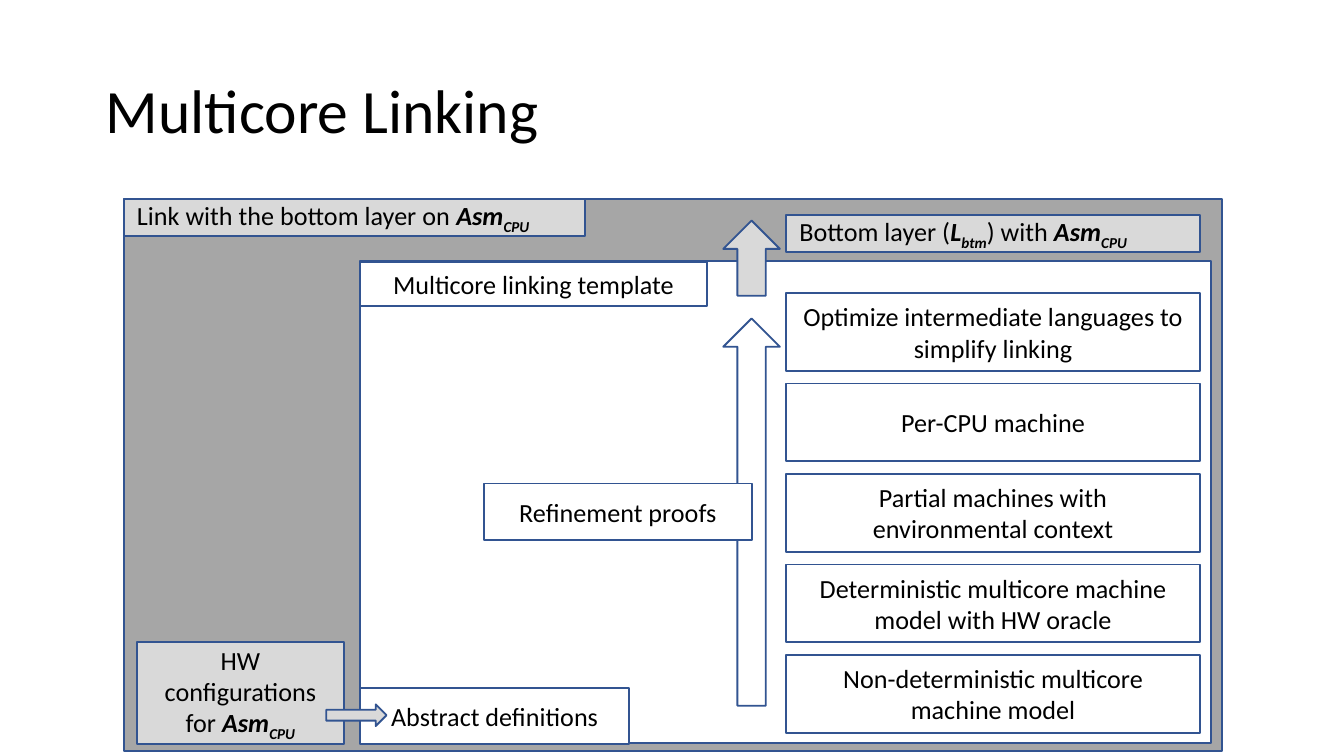
from pptx import Presentation
from pptx.dml.color import RGBColor
from pptx.enum.shapes import MSO_SHAPE
from pptx.enum.text import MSO_ANCHOR, PP_ALIGN
from pptx.util import Cm, Pt

RECTANGLE = MSO_SHAPE.RECTANGLE
UP_ARROW = MSO_SHAPE.UP_ARROW
MIDDLE = MSO_ANCHOR.MIDDLE
LEFT, CENTER = PP_ALIGN.LEFT, PP_ALIGN.CENTER

FONT = "Calibri"
BLACK, WHITE, BLUE = "000000", "FFFFFF", "325491"
DARK_GRAY, LIGHT_GRAY = "A6A6A6", "D9D9D9"

# Span styles
PLAIN, STRONG, SUBSCRIPT = "plain", "strong", "subscript"
ASM_CPU = [("Asm", STRONG), ("CPU", SUBSCRIPT)]

STEP_LEFT, STEP_TOP, STEP_WIDTH, STEP_HEIGHT = 14.86, 5.54, 7.82, 1.47
STEP_PITCH = 1.71
STEPS = [
    "Optimize intermediate languages to simplify linking",
    "Per-CPU machine",
    "Partial machines with environmental context",
    "Deterministic multicore machine model with HW oracle",
    "Non-deterministic multicore machine model",
]


def color(value):
    """Turn a hex string into a colour."""
    return RGBColor.from_string(value)


def write_spans(shape, spans, size, align):
    """Write styled spans as one vertically centred paragraph."""
    frame = shape.text_frame
    frame.word_wrap = True
    frame.vertical_anchor = MIDDLE
    para = frame.paragraphs[0]
    para.alignment = align
    for text, style in spans:
        span = para.add_run()
        span.text = text
        span.font.name = FONT
        span.font.size = Pt(size)
        span.font.color.rgb = color(BLACK)
        if style != PLAIN:
            span.font.bold = span.font.italic = True
        if style == SUBSCRIPT:
            span.font._element.set("baseline", "-25000")
    return para


def add_figure(page, kind, left, top, width, height, fill):
    """Add an outlined preset shape, measured in centimetres."""
    shape = page.shapes.add_shape(kind, Cm(left), Cm(top), Cm(width), Cm(height))
    shape.shadow.inherit = False
    shape.fill.solid()
    shape.fill.fore_color.rgb = color(fill)
    shape.line.color.rgb = color(BLUE)
    shape.line.width = Pt(1)
    return shape


def add_label(page, left, top, width, height, spans, fill=WHITE, align=CENTER):
    """Add a rectangle with text."""
    box = add_figure(page, RECTANGLE, left, top, width, height, fill)
    write_spans(box, spans, 14, align)


def add_title(page, text):
    """Add the slide title."""
    box = page.shapes.add_textbox(Cm(1.75), Cm(0.76), Cm(21.89), Cm(2.77))
    para = write_spans(box, [(text, PLAIN)], 33, LEFT)
    para.line_spacing = 0.9


def add_steps(page):
    """Stack the refinement steps at an even pitch."""
    for index, text in enumerate(STEPS):
        add_label(page, STEP_LEFT, STEP_TOP + index * STEP_PITCH,
                  STEP_WIDTH, STEP_HEIGHT, [(text, PLAIN)])


def main():
    """Build and save the slide."""
    deck = Presentation()
    deck.slide_width, deck.slide_height = Cm(25.4), Cm(14.29)
    page = deck.slides.add_slide(deck.slide_layouts[6])

    add_figure(page, RECTANGLE, 2.34, 3.76, 20.75, 10.44, DARK_GRAY)
    add_figure(page, RECTANGLE, 6.81, 4.93, 16.08, 9.12, WHITE)
    add_title(page, "Multicore Linking")
    add_steps(page)

    add_label(page, 6.81, 4.95, 6.55, 0.84, [("Multicore linking template", PLAIN)])
    add_label(page, 6.81, 13, 5.08, 1.07, [("Abstract definitions", PLAIN)])
    add_figure(page, UP_ARROW, 13.67, 6.02, 1.07, 7.32, WHITE)
    add_label(page, 9.14, 9.14, 5.08, 1.07, [("Refinement proofs", PLAIN)])

    bottom_layer = [("Bottom layer (", PLAIN), ("L", STRONG), ("btm", SUBSCRIPT),
                    (") with ", PLAIN), *ASM_CPU]
    add_label(page, STEP_LEFT, 4.06, STEP_WIDTH, 0.71, bottom_layer, LIGHT_GRAY, LEFT)
    add_label(page, 2.34, 3.76, 8.71, 0.71,
              [("Link with the bottom layer on ", PLAIN), *ASM_CPU], LIGHT_GRAY, LEFT)
    add_figure(page, UP_ARROW, 13.67, 4.17, 1.07, 1.42, LIGHT_GRAY)
    add_label(page, 2.59, 12.14, 3.91, 1.93,
              [("HW configurations for ", PLAIN), *ASM_CPU], LIGHT_GRAY)
    hardware_arrow = add_figure(page, UP_ARROW, 6.53, 12.95, 0.41, 1.14, LIGHT_GRAY)
    hardware_arrow.rotation = 90

    deck.save("out.pptx")


main()
